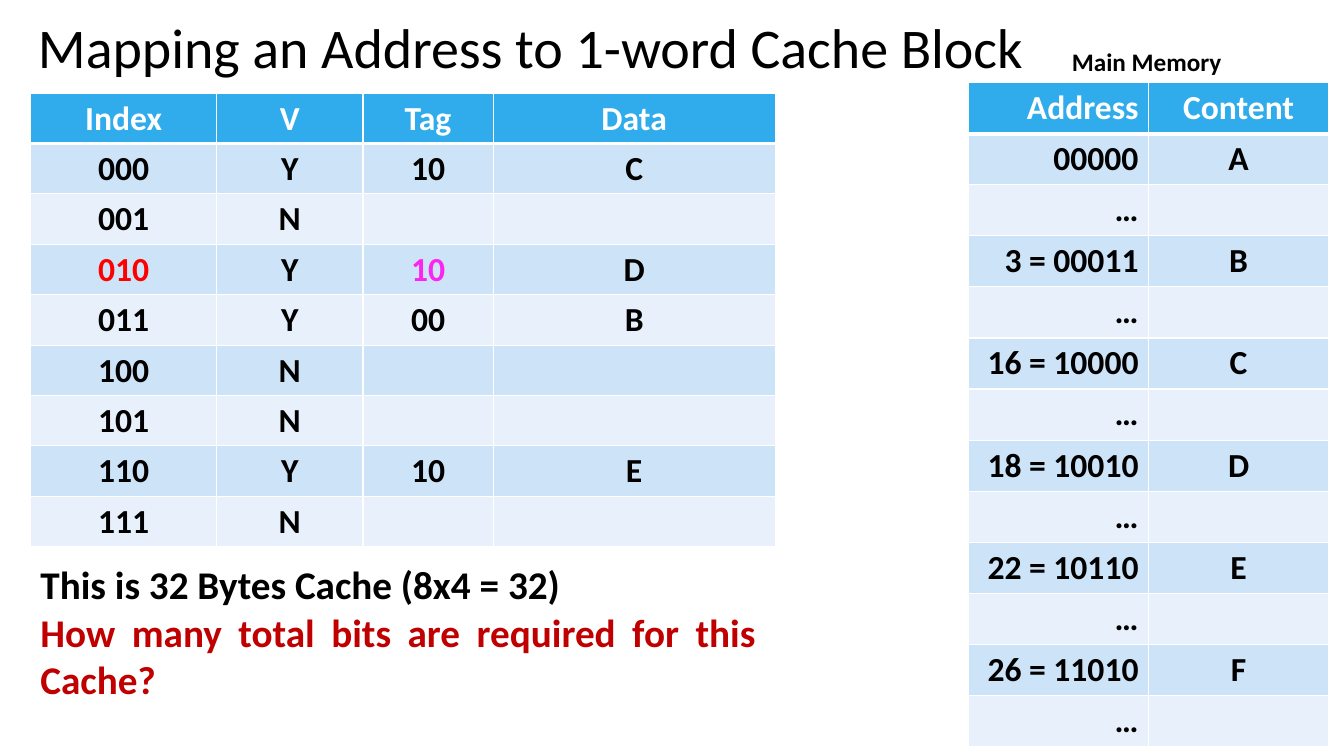
from lxml.etree import SubElement
from pptx import Presentation
from pptx.dml.color import RGBColor
from pptx.enum.text import MSO_ANCHOR, MSO_AUTO_SIZE, PP_ALIGN as Align
from pptx.oxml.ns import qn
from pptx.util import Pt

FONT = "Calibri"
BLACK = RGBColor(0x00, 0x00, 0x00)
WHITE = RGBColor(0xFF, 0xFF, 0xFF)
HEADER_BLUE = RGBColor(0x30, 0xAC, 0xEC)
BAND_DARK = RGBColor(0xCD, 0xE3, 0xF8)
BAND_LIGHT = RGBColor(0xE8, 0xF1, 0xFB)
INDEX_RED = RGBColor(0xFF, 0x00, 0x00)
TAG_PINK = RGBColor(0xFC, 0x24, 0xF2)
QUESTION_RED = RGBColor(0xC0, 0x00, 0x00)

CACHE_ROWS = [
    ("Index", "V", "Tag", "Data"),
    ("000", "Y", "10", "C"),
    ("001", "N", "", ""),
    ("010", "Y", "10", "D"),
    ("011", "Y", "00", "B"),
    ("100", "N", "", ""),
    ("101", "N", "", ""),
    ("110", "Y", "10", "E"),
    ("111", "N", "", ""),
]
CACHE_HIGHLIGHTS = {(3, 0): INDEX_RED, (3, 2): TAG_PINK}

MEMORY_WORDS = [
    ("00000", "A"),
    ("3 = 00011", "B"),
    ("16 = 10000", "C"),
    ("18 = 10010", "D"),
    ("22 = 10110", "E"),
    ("26 = 11010", "F"),
]
# An ellipsis row follows every listed memory word
MEMORY_ROWS = [("Address", "Content")]
for word in MEMORY_WORDS:
    MEMORY_ROWS += [word, ("…", "")]


def format_paragraph(paragraph, size, color, align, bold=True):
    paragraph.alignment = align
    for run in paragraph.runs:
        run.font.name = FONT
        run.font.size = Pt(size)
        run.font.bold = bold
        run.font.color.rgb = color


def set_borders(cell, bottom_width):
    properties = cell._tc.get_or_add_tcPr()
    for side, width in (("L", 1), ("R", 1), ("T", 1), ("B", bottom_width)):
        line = SubElement(properties, qn(f"a:ln{side}"), w=str(Pt(width)))
        fill = SubElement(line, qn("a:solidFill"))
        SubElement(fill, qn("a:srgbClr"), val=str(WHITE))


def add_title(slide, text, left, top, width, height):
    title = slide.shapes.title
    title.left, title.top, title.width, title.height = map(Pt, (left, top, width, height))
    frame = title.text_frame
    frame.text = text
    frame.auto_size = MSO_AUTO_SIZE.NONE
    frame.vertical_anchor = MSO_ANCHOR.MIDDLE
    format_paragraph(frame.paragraphs[0], 40, BLACK, Align.CENTER, bold=False)


def add_banded_table(slide, rows, left, top, column_widths, row_height, aligns, highlights):
    frame = slide.shapes.add_table(
        len(rows), len(column_widths), Pt(left), Pt(top),
        Pt(sum(column_widths)), Pt(row_height * len(rows)))
    table = frame.table
    for column, width in zip(table.columns, column_widths):
        column.width = Pt(width)
    for row_index, values in enumerate(rows):
        table.rows[row_index].height = Pt(row_height)
        is_header = row_index == 0
        band = HEADER_BLUE if is_header else (BAND_LIGHT, BAND_DARK)[row_index % 2]
        text_color = WHITE if is_header else BLACK
        for column_index, value in enumerate(values):
            cell = table.cell(row_index, column_index)
            set_borders(cell, 3 if is_header else 1)
            cell.fill.solid()
            cell.fill.fore_color.rgb = band
            cell.margin_bottom = Pt(3)
            cell.text = value
            color = highlights.get((row_index, column_index), text_color)
            format_paragraph(cell.text_frame.paragraphs[0], 24, color, aligns[column_index])


def add_text(slide, lines, size, align, left, top, width, height, wrap):
    box = slide.shapes.add_textbox(Pt(left), Pt(top), Pt(width), Pt(height))
    frame = box.text_frame
    frame.word_wrap = wrap
    frame.auto_size = MSO_AUTO_SIZE.SHAPE_TO_FIT_TEXT
    frame.text = "\n".join(text for text, _ in lines)
    for paragraph, (_, color) in zip(frame.paragraphs, lines):
        format_paragraph(paragraph, size, color, align)


def add_memory(slide, left, top):
    add_banded_table(slide, MEMORY_ROWS, left, top + 29.5, [128.5, 128.5], 36.5,
                     [Align.RIGHT, Align.CENTER], {})
    add_text(slide, [("Main Memory", BLACK)], 18, Align.LEFT,
             left + 66.5, top, 123, 29, wrap=False)


def add_cache(slide, left, top):
    add_banded_table(slide, CACHE_ROWS, left, top, [133, 104.5, 93, 201.5], 36,
                     [Align.CENTER] * 4, CACHE_HIGHLIGHTS)
    add_text(slide, [("This is 32 Bytes Cache (8x4 = 32)", BLACK),
                     ("How many total bits are required for this Cache?", QUESTION_RED)],
             28, Align.JUSTIFY, left, top + 330.5, 525, 109, wrap=True)


def main():
    presentation = Presentation()
    presentation.slide_width, presentation.slide_height = Pt(960), Pt(540)
    slide = presentation.slides.add_slide(presentation.slide_layouts[5])
    add_title(slide, "Mapping an Address to 1-word Cache Block", 0, 0, 758, 66)
    add_memory(slide, 692, 29.5)
    add_cache(slide, 21.8, 66.5)
    presentation.save("out.pptx")


if __name__ == "__main__":
    main()
